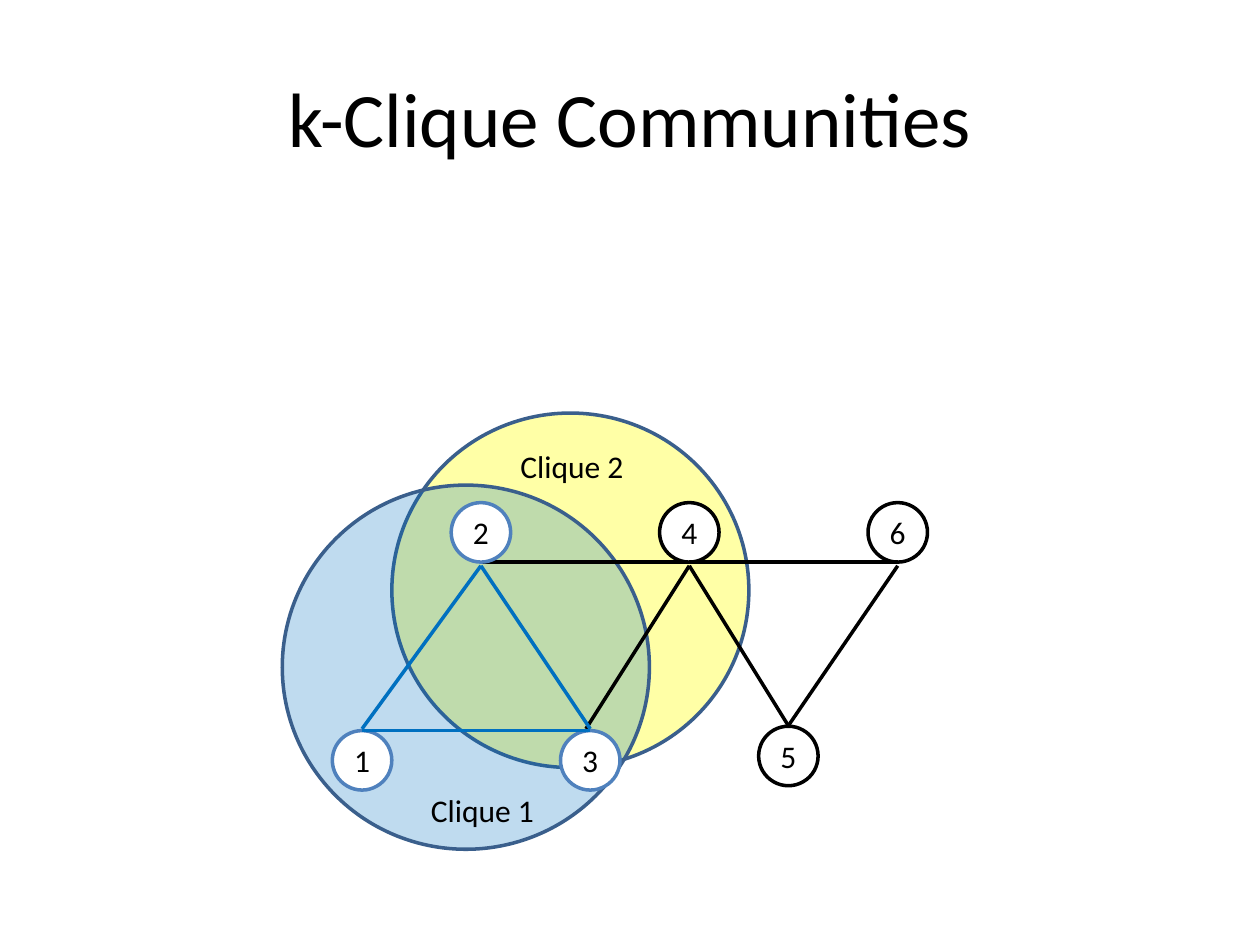
from dataclasses import dataclass

from lxml import etree
from pptx import Presentation
from pptx import util as u
from pptx.dml import color
from pptx.enum import shapes, text
from pptx.oxml import ns


@dataclass(frozen=True)
class Theme:
    """Colours, font and sizes in points."""
    font: str = "Calibri"
    title_size: float = 44
    body_size: float = 18
    stroke: float = 2
    ink: str = "000000"
    paper: str = "FFFFFF"
    clique_line: str = "3A5F8C"
    clique_one: str = "0070C0"
    clique_two: str = "FFFF00"
    member: str = "4F81BD"


def write(shape, content, theme, size, align=text.PP_ALIGN.CENTER,
          anchor=text.MSO_ANCHOR.MIDDLE, spacing=1.0, inset=7.2):
    """Put one formatted paragraph into a shape."""
    frame = shape.text_frame
    frame.word_wrap = True
    frame.vertical_anchor = anchor
    frame.margin_left = u.Pt(inset)
    paragraph = frame.paragraphs[0]
    paragraph.alignment = align
    paragraph.line_spacing = spacing
    run = paragraph.add_run()
    run.text = content
    run.font.name = theme.font
    run.font.size = u.Pt(size)
    run.font.color.rgb = color.RGBColor.from_string(theme.ink)


class Diagram:
    """Draws graph elements on the current slide."""

    def __init__(self, slide, theme):
        self.slide = slide
        self.theme = theme

    def stroke(self, line, colour):
        line.color.rgb = color.RGBColor.from_string(colour)
        line.width = u.Pt(self.theme.stroke)

    def ellipse(self, left, top, width, height, fill, line, opacity=100):
        shape = self.slide.shapes.add_shape(
            shapes.MSO_SHAPE.OVAL, *map(u.Pt, (left, top, width, height)))
        shape.shadow.inherit = False
        shape.fill.solid()
        shape.fill.fore_color.rgb = color.RGBColor.from_string(fill)
        if opacity < 100:
            tint = shape.fill._xPr.find(".//" + ns.qn("a:srgbClr"))
            etree.SubElement(tint, ns.qn("a:alpha"), val=str(opacity * 1000))
        self.stroke(shape.line, line)
        return shape

    def node(self, label, center, line, diameter=34):
        left, top = (value - diameter / 2 for value in center)
        shape = self.ellipse(left, top, diameter, diameter, self.theme.paper, line)
        write(shape, label, self.theme, self.theme.body_size, inset=0)
        shape.text_frame.margin_right = 0

    def edge(self, start, end, colour):
        connector = self.slide.shapes.add_connector(
            shapes.MSO_CONNECTOR.STRAIGHT, *map(u.Pt, (*start, *end)))
        self.stroke(connector.line, colour)
        etree.SubElement(connector._element.spPr, ns.qn("a:effectLst"))

    def label(self, content, left, top, width, height, size, **style):
        box = self.slide.shapes.add_textbox(*map(u.Pt, (left, top, width, height)))
        write(box, content, self.theme, size, **style)


def build():
    """Build and save the slide."""
    theme = Theme()
    presentation = Presentation()
    presentation.slide_width, presentation.slide_height = u.Pt(720), u.Pt(540)
    slide = presentation.slides.add_slide(presentation.slide_layouts[6])
    diagram = Diagram(slide, theme)

    diagram.label("k-Clique Communities", 36, 21.6, 648, 90, theme.title_size)
    diagram.ellipse(223.9, 236, 204, 202.6, theme.clique_two, theme.clique_line, 35)
    diagram.ellipse(161.3, 277.2, 209.8, 208.1, theme.clique_one, theme.clique_line, 25)

    upper, lower = 304.2, 434.5
    centers = {"1": (206.9, lower), "2": (274.8, upper), "3": (337.3, lower),
               "4": (393.9, upper), "5": (450.5, 432), "6": (513, upper)}
    rim_upper, join_upper, join_lower, rim_lower = 321.2, 323.3, 416.5, 417.5
    upper_rim = {name: (centers[name][0], rim_upper) for name in "246"}
    joints = {name: (x, join_upper if y == upper else join_lower)
              for name, (x, y) in centers.items()}
    joints["5"] = (centers["5"][0], 414.7)

    diagram.edge(joints["4"], (334.8, join_lower), theme.ink)
    diagram.edge(upper_rim["2"], upper_rim["4"], theme.ink)
    for name, center in centers.items():
        diagram.node(name, center, theme.member if name in "123" else theme.ink)
    for start, end, colour in (("2", "1", theme.clique_one),
                               ("2", "3", theme.clique_one),
                               ("4", "5", theme.ink), ("6", "5", theme.ink)):
        diagram.edge(joints[start], joints[end], colour)
    diagram.edge((centers["3"][0], rim_lower), (centers["1"][0], rim_lower),
                 theme.clique_one)
    diagram.edge(upper_rim["4"], upper_rim["6"], theme.ink)

    for content, left, top in (("Clique 1", 235.4, 427), ("Clique 2", 286.6, 230.4)):
        diagram.label(content, left, top, 113.8, 52.6, theme.body_size,
                      align=text.PP_ALIGN.LEFT, anchor=text.MSO_ANCHOR.TOP,
                      spacing=2.0, inset=10.8)
    presentation.save("out.pptx")


build()
